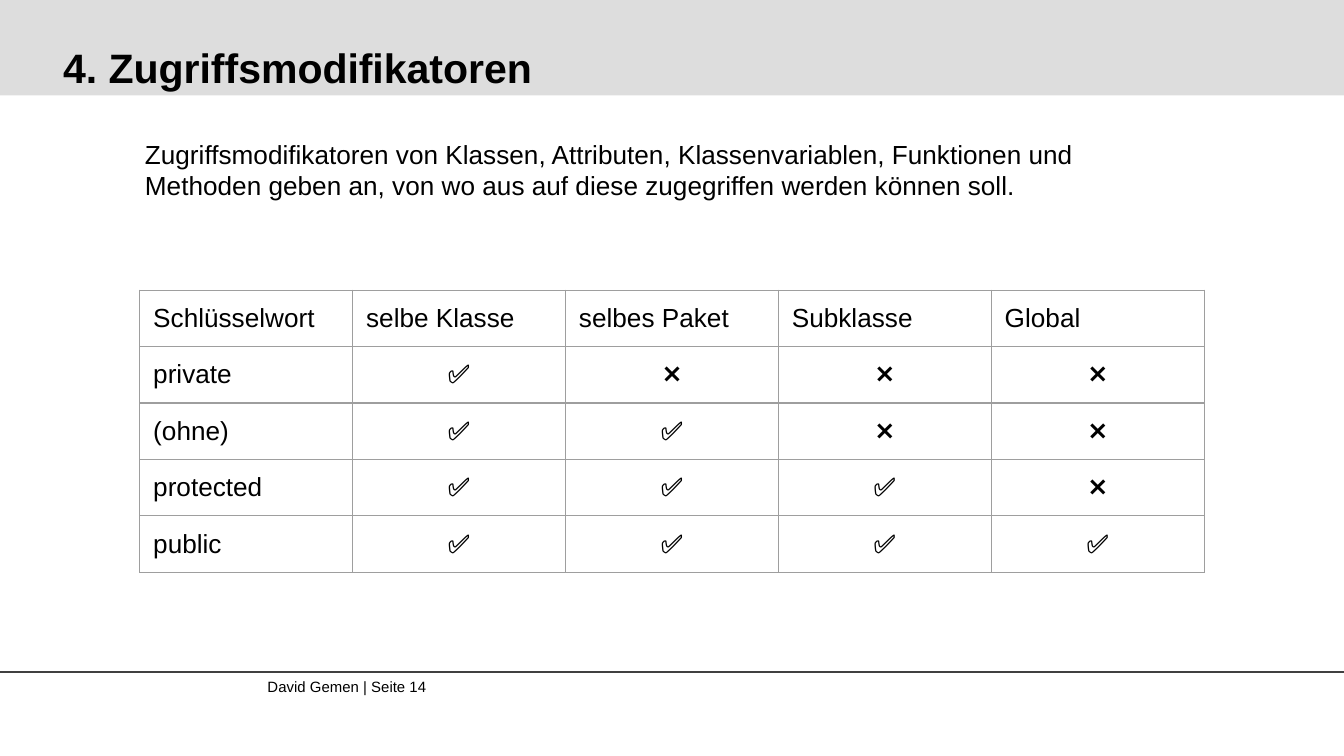
from lxml.etree import SubElement
from pptx import Presentation
from pptx.dml.color import RGBColor
from pptx.enum.shapes import MSO_CONNECTOR, MSO_SHAPE
from pptx.enum.text import MSO_ANCHOR as Anchor, PP_ALIGN as Align
from pptx.oxml.ns import qn
from pptx.util import Inches, Pt

# Content
TITLE = "4. Zugriffsmodifikatoren"
INTRO = ("Zugriffsmodifikatoren von Klassen, Attributen, Klassenvariablen, "
         "Funktionen und Methoden geben an, von wo aus auf diese "
         "zugegriffen werden können soll.")
FOOTER = "David Gemen | Seite 14"
SCOPES = ["Schlüsselwort", "selbe Klasse", "selbes Paket", "Subklasse", "Global"]
# Keyword and the number of scopes, from the left, that have access
MODIFIERS = [("private", 1), ("(ohne)", 2), ("protected", 3), ("public", 4)]
ALLOWED, DENIED = "✅", "❌"

THEME = {
    "font": "Arial", "text": "000000", "band": "DDDDDD",
    "rule": "404040", "grid": "9E9E9E", "line_width": 0.75,
    "title_size": 22, "body_size": 14, "footer_size": 8,
}
SLIDE_W = 10
SLIDE_H = SLIDE_W * 9 / 16
TABLE_LEFT, TABLE_TOP, TABLE_W, ROW_H = 1.04, 2.16, 7.92, 0.42
PADDING, CELL_BOTTOM = 0.1, 0.08  # the smaller bottom keeps rows at ROW_H


def color(part):
    return RGBColor.from_string(THEME[part])


def write(frame, text, size, bold=False, align=Align.LEFT):
    paragraph = frame.paragraphs[0]
    paragraph.alignment = align
    run = paragraph.add_run()
    run.text = text
    run.font.name = THEME["font"]
    run.font.size = Pt(THEME[size])
    run.font.bold = bold
    run.font.color.rgb = color("text")


def add_text(slide, box, text, size, padding=0, anchor=Anchor.TOP, bold=False):
    frame = slide.shapes.add_textbox(*map(Inches, box)).text_frame
    frame.word_wrap = True
    frame.vertical_anchor = anchor
    frame.margin_left = frame.margin_right = Inches(padding)
    frame.margin_top = frame.margin_bottom = Inches(padding)
    write(frame, text, size, bold)


def style_cell(cell):
    cell.margin_left = cell.margin_right = cell.margin_top = Inches(PADDING)
    cell.margin_bottom = Inches(CELL_BOTTOM)
    properties = cell._tc.get_or_add_tcPr()
    for side in ("a:lnL", "a:lnR", "a:lnT", "a:lnB"):
        border = SubElement(properties, qn(side), w=str(Pt(THEME["line_width"])))
        fill = SubElement(border, qn("a:solidFill"))
        SubElement(fill, qn("a:srgbClr"), val=THEME["grid"])
    cell.fill.background()


def add_access_table(slide):
    rows = [SCOPES]
    for keyword, reach in MODIFIERS:
        denied = len(SCOPES) - 1 - reach
        rows.append([keyword] + [ALLOWED] * reach + [DENIED] * denied)

    box = (TABLE_LEFT, TABLE_TOP, TABLE_W, ROW_H * len(rows))
    table = slide.shapes.add_table(len(rows), len(SCOPES), *map(Inches, box)).table
    table.first_row = table.horz_banding = False
    for column in table.columns:
        column.width = Inches(TABLE_W / len(SCOPES))
    for r, row in enumerate(rows):
        for c, entry in enumerate(row):
            cell = table.cell(r, c)
            style_cell(cell)
            align = Align.CENTER if entry in (ALLOWED, DENIED) else Align.LEFT
            write(cell.text_frame, entry, "body_size", align=align)


def main():
    deck = Presentation()
    deck.slide_width, deck.slide_height = Inches(SLIDE_W), Inches(SLIDE_H)
    slide = deck.slides.add_slide(deck.slide_layouts[6])

    # Footer with its rule
    add_text(slide, (1.99, 5.04, 4.22, 0.27), FOOTER, "footer_size")
    rule = slide.shapes.add_connector(
        MSO_CONNECTOR.STRAIGHT, 0, Inches(5), Inches(SLIDE_W), Inches(5))
    rule.line.color.rgb = color("rule")
    rule.line.width = Pt(THEME["line_width"])
    SubElement(rule._element.spPr, qn("a:effectLst"))

    # Title on its band
    band = slide.shapes.add_shape(
        MSO_SHAPE.RECTANGLE, 0, 0, Inches(SLIDE_W), Inches(0.71))
    band.shadow.inherit = False
    band.fill.solid()
    band.fill.fore_color.rgb = color("band")
    band.line.fill.background()
    add_text(slide, (0.47, 0.1, 9.16, 0.58), TITLE, "title_size",
             anchor=Anchor.BOTTOM, bold=True)

    # Access table and introduction
    add_access_table(slide)
    add_text(slide, (0.98, 0.93, 7.98, 0.67), INTRO, "body_size", PADDING)

    deck.save("out.pptx")


if __name__ == "__main__":
    main()
